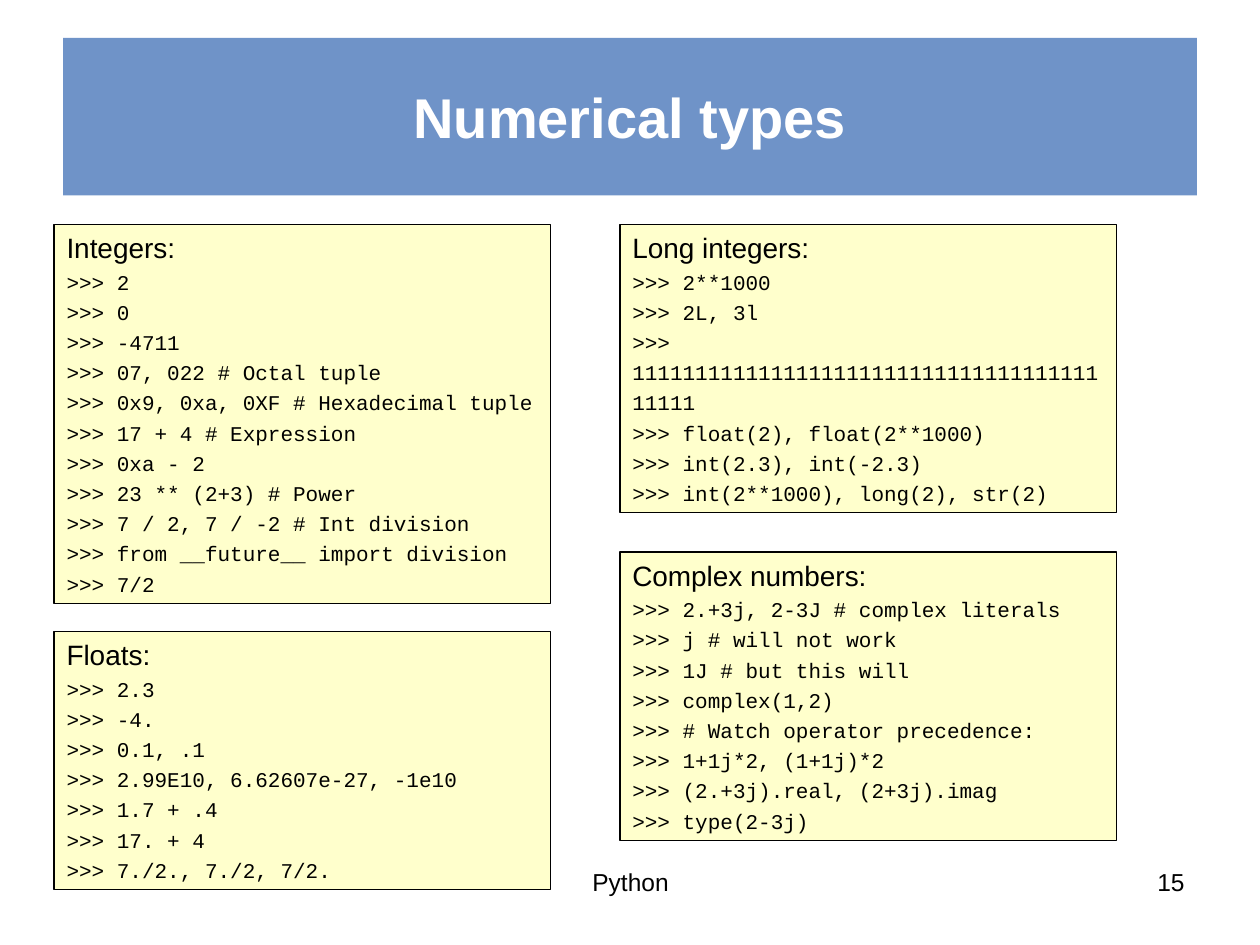
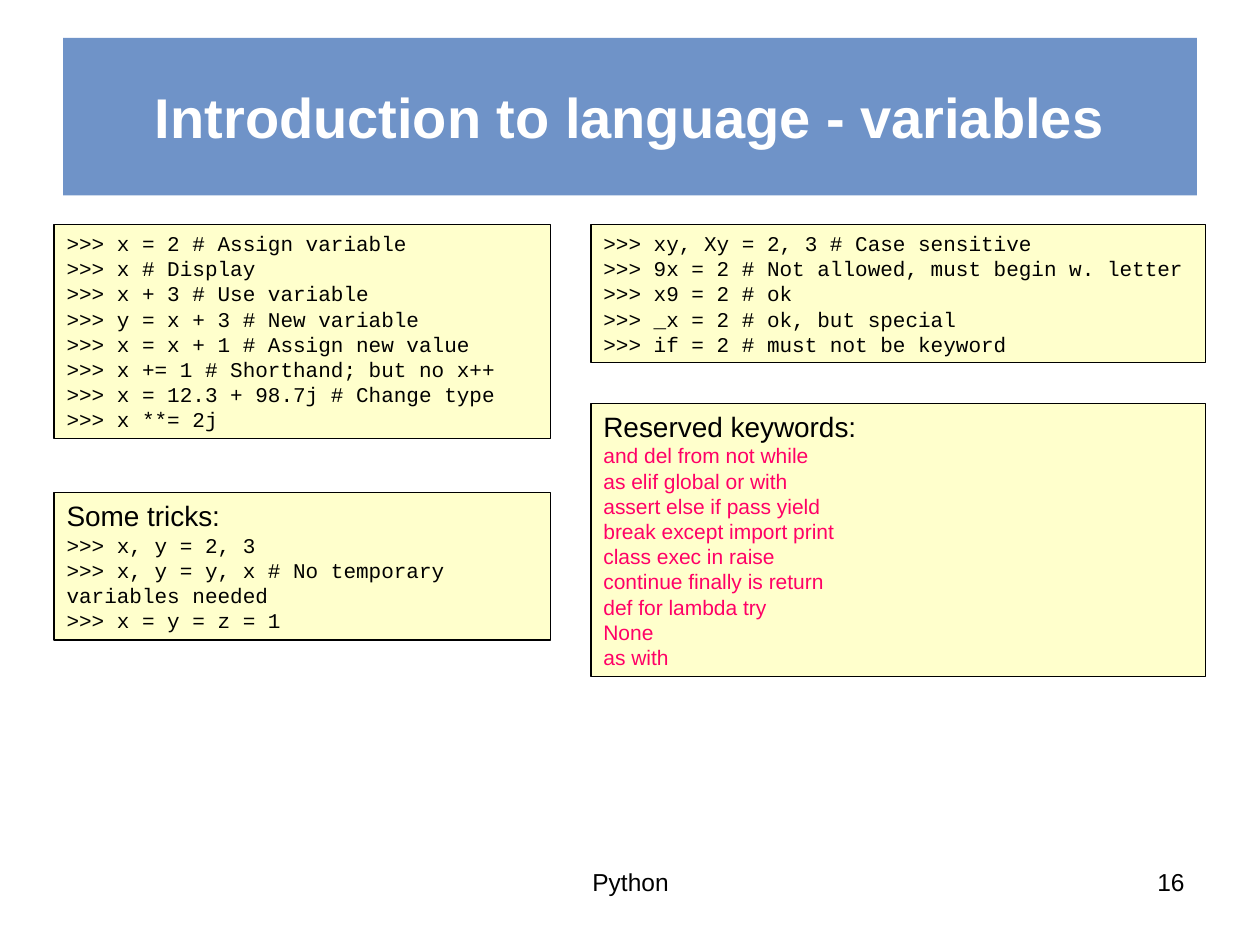
from lxml import etree
from pptx import Presentation
from pptx.dml.color import RGBColor
from pptx.enum import shapes, text
from pptx.oxml.ns import qn
from pptx.util import Inches, Pt

BAND, PANEL, BLACK, WHITE, PINK = "4775B9", "FFFFCC", "000000", "FFFFFF", "FF0066"
SANS, MONO = "Arial", "Courier New"
LEFT, TOP, NARROW, WIDE = 0.43, 1.78, 3.94, 4.88
ALIGN = text.PP_ALIGN


def paint(target, color):
    """Give a fill or a font a solid colour from a hex string."""
    if hasattr(target, "solid"):
        target.solid()
        target.fore_color.rgb = RGBColor.from_string(color)
    else:
        target.color.rgb = RGBColor.from_string(color)


def write(frame, lines, size=12, font=SANS, color=BLACK, bold=False,
          align=ALIGN.LEFT, spacing=None):
    """Add lines to a text frame, one paragraph each, in a single format."""
    for line in lines:
        para = frame.add_paragraph() if frame.text else frame.paragraphs[0]
        para.alignment = align
        para.line_spacing = spacing
        span = para.add_run()
        span.text = line
        span.font.size = Pt(size)
        span.font.name = font
        span.font.bold = bold
        paint(span.font, color)


code = {"font": MONO}
spaced_code = {"font": MONO, "spacing": 1.2}
keywords = {"color": PINK}

# Each panel: left, top, width, height, heading, format of its lines, lines
pages = [
    (15, "Numerical types", [
        (LEFT, TOP, NARROW, 3.01, "Integers:", spaced_code, [
            ">>> 2",
            ">>> 0",
            ">>> -4711",
            ">>> 07, 022 # Octal tuple",
            ">>> 0x9, 0xa, 0XF # Hexadecimal tuple",
            ">>> 17 + 4 # Expression",
            ">>> 0xa - 2",
            ">>> 23 ** (2+3) # Power",
            ">>> 7 / 2, 7 / -2 # Int division",
            ">>> from __future__ import division",
            ">>> 7/2",
        ]),
        (LEFT, 5.01, NARROW, 2.05, "Floats:", spaced_code, [
            ">>> 2.3",
            ">>> -4.",
            ">>> 0.1, .1",
            ">>> 2.99E10, 6.62607e-27, -1e10",
            ">>> 1.7 + .4",
            ">>> 17. + 4",
            ">>> 7./2., 7./2, 7/2.",
        ]),
        (4.92, TOP, NARROW, 2.29, "Long integers:", spaced_code, [
            ">>> 2**1000",
            ">>> 2L, 3l",
            ">>> 111111111111111111111111111111111111111111",
            ">>> float(2), float(2**1000)",
            ">>> int(2.3), int(-2.3)",
            ">>> int(2**1000), long(2), str(2)",
        ]),
        (4.92, 4.38, NARROW, 2.29, "Complex numbers:", spaced_code, [
            ">>> 2.+3j, 2-3J # complex literals",
            ">>> j # will not work",
            ">>> 1J # but this will",
            ">>> complex(1,2)",
            ">>> # Watch operator precedence:",
            ">>> 1+1j*2, (1+1j)*2",
            ">>> (2.+3j).real, (2+3j).imag",
            ">>> type(2-3j)",
        ]),
    ]),
    (16, "Introduction to language - variables", [
        (LEFT, TOP, NARROW, 1.7, None, code, [
            ">>> x = 2 # Assign variable",
            ">>> x # Display",
            ">>> x + 3 # Use variable",
            ">>> y = x + 3 # New variable",
            ">>> x = x + 1 # Assign new value",
            ">>> x += 1 # Shorthand; but no x++",
            ">>> x = 12.3 + 98.7j # Change type",
            ">>> x **= 2j",
        ]),
        (LEFT, 3.91, NARROW, 1.17, "Some tricks:", code, [
            ">>> x, y = 2, 3",
            ">>> x, y = y, x # No temporary variables needed",
            ">>> x = y = z = 1",
        ]),
        (4.69, TOP, WIDE, 1.1, None, code, [
            ">>> xy, Xy = 2, 3 # Case sensitive",
            ">>> 9x = 2 # Not allowed, must begin w. letter",
            ">>> x9 = 2 # ok",
            ">>> _x = 2 # ok, but special",
            ">>> if = 2 # must not be keyword",
        ]),
        (4.69, 3.2, WIDE, 2.17, "Reserved keywords:", keywords, [
            "and del from not while",
            "as elif global or with",
            "assert else if pass yield",
            "break except import print",
            "class exec in raise",
            "continue ﬁnally is return",
            "def for lambda try",
            "None",
            "as with",
        ]),
    ]),
]

deck = Presentation()
deck.slide_width, deck.slide_height = Inches(10), Inches(7.5)
title_only = deck.slide_layouts[5]

for number, heading, panels in pages:
    page = deck.slides.add_slide(title_only)

    title = page.shapes.title
    title.left, title.top = Inches(0.5), Inches(0.3)
    title.width, title.height = Inches(9), Inches(1.25)
    paint(title.fill, BAND)
    band_color = title.element.spPr.find(".//" + qn("a:srgbClr"))
    etree.SubElement(band_color, qn("a:alpha"), val="78000")
    title.text_frame.vertical_anchor = text.MSO_ANCHOR.MIDDLE
    write(title.text_frame, [heading], size=32, color=WHITE, bold=True, align=ALIGN.CENTER)

    for left, top, width, height, caption, style, lines in panels:
        box = page.shapes.add_shape(shapes.MSO_SHAPE.RECTANGLE, Inches(left), Inches(top),
                                    Inches(width), Inches(height))
        box.shadow.inherit = False
        paint(box.fill, PANEL)
        paint(box.line.fill, BLACK)
        box.line.width = Pt(0.75)
        frame = box.text_frame
        frame.word_wrap = True
        frame.auto_size = text.MSO_AUTO_SIZE.SHAPE_TO_FIT_TEXT
        frame.vertical_anchor = text.MSO_ANCHOR.TOP
        if caption:
            write(frame, [caption], size=16)
        write(frame, lines, **style)

    for label, left, width, align in [(str(number), 7.17, 2.33, ALIGN.RIGHT),
                                      ("Python", 3.42, 3.17, ALIGN.CENTER)]:
        footer = page.shapes.add_textbox(Inches(left), Inches(6.83), Inches(width), Inches(0.52))
        footer.text_frame.word_wrap = True
        write(footer.text_frame, [label], size=14, align=align)

deck.save("out.pptx")
